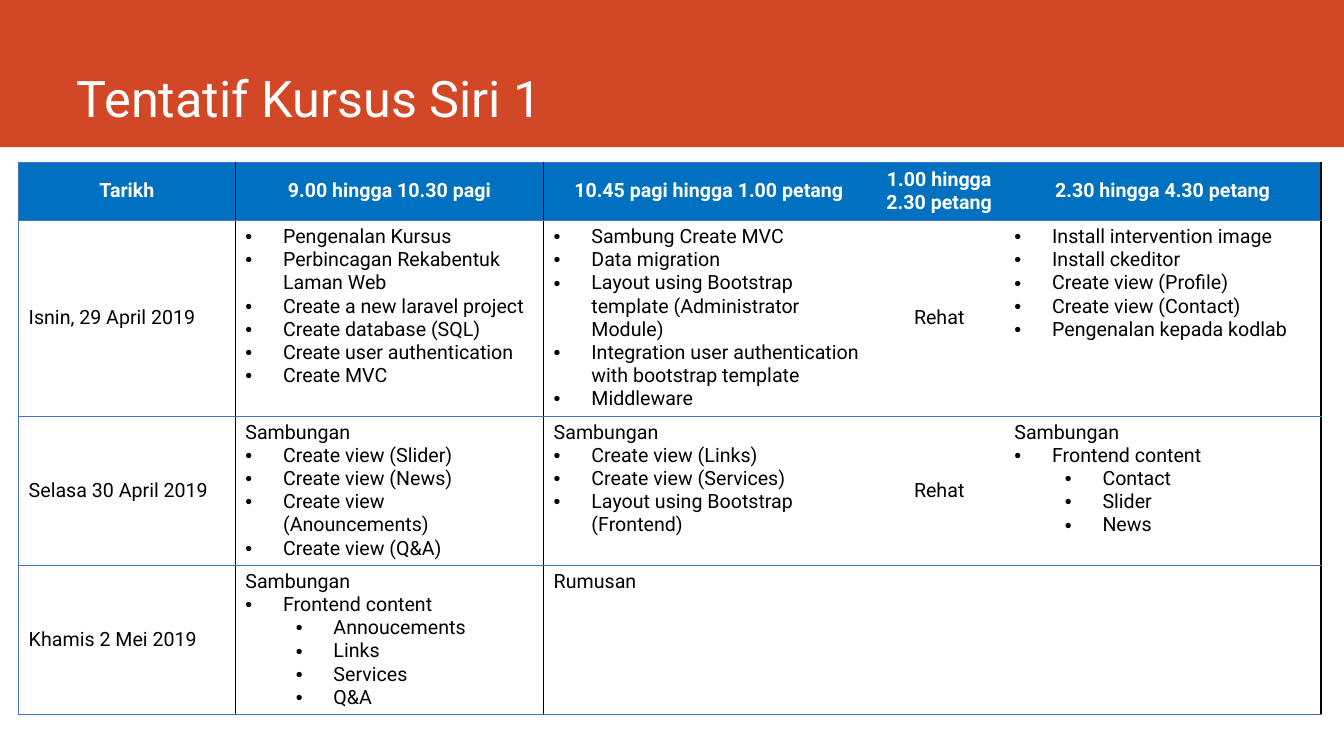
from dataclasses import dataclass

from lxml.etree import SubElement
from pptx import Presentation
from pptx.dml.color import RGBColor
from pptx.enum.shapes import MSO_SHAPE
from pptx.enum.text import MSO_ANCHOR, PP_ALIGN
from pptx.oxml import parse_xml
from pptx.oxml.ns import nsdecls, qn
from pptx.util import Cm, Pt


@dataclass(frozen=True)
class Theme:
    """Colours, font and type sizes."""
    font: str = "Roboto"
    band: str = "D24726"
    head: str = "0070C0"
    rule: str = "4472C4"
    ink: str = "000000"
    paper: str = "FFFFFF"
    title: int = 36
    body: int = 14


def write(par, text, theme, size=None, color=None, bold=False, align=PP_ALIGN.LEFT, depth=0):
    """Put text in a paragraph; depth 1 and 2 are bullet levels."""
    par.alignment = align
    run = par.add_run()
    run.text = text
    font = run.font
    font.name, font.size, font.bold = theme.font, Pt(size or theme.body), bold
    font.color.rgb = RGBColor.from_string(color or theme.ink)
    if depth:
        par.level = depth - 1
        props = par._p.get_or_add_pPr()
        props.set("marL", str(Cm(0.95 + 1.27 * (depth - 1))))
        props.set("indent", str(-Cm(0.95)))
        SubElement(props, qn("a:buFont"), typeface="Arial")
        SubElement(props, qn("a:buChar"), char="•")


def edge(cell, side, color=None, width=0.5):
    """Draw one cell border, or clear it when there is no colour."""
    paint = (f'<a:solidFill><a:srgbClr val="{color}"/></a:solidFill>'
             if color else "<a:noFill/>")
    line = parse_xml(f'<a:ln{side} {nsdecls("a")} w="{Pt(width)}">{paint}</a:ln{side}>')
    cell._tc.get_or_add_tcPr().insert("LRTB".index(side), line)


class Deck:
    """Holds the theme and the current slide."""

    def __init__(self, theme):
        """Start a wide deck with one title slide."""
        self.theme = theme
        self.show = Presentation()
        self.show.slide_width, self.show.slide_height = Cm(33.87), Cm(19.05)
        self.slide = self.show.slides.add_slide(self.show.slide_layouts[5])

    def band(self, height):
        """Lay a plain band along the top, behind the rest."""
        shape = self.slide.shapes.add_shape(
            MSO_SHAPE.RECTANGLE, 0, 0, self.show.slide_width, Cm(height))
        shape.shadow.inherit = False
        shape.fill.solid()
        shape.fill.fore_color.rgb = RGBColor.from_string(self.theme.band)
        shape.line.fill.background()
        self.slide.shapes._spTree.insert(2, shape._element)

    def title(self, text, left, top, width, height):
        """Move and fill the title placeholder."""
        box = self.slide.shapes.title
        box.left, box.top, box.width, box.height = map(Cm, (left, top, width, height))
        box.text_frame.vertical_anchor = MSO_ANCHOR.BOTTOM
        write(box.text_frame.paragraphs[0], text, self.theme,
              size=self.theme.title, color=self.theme.paper)

    def cell(self, cell, items, row, col, end):
        """Fill one cell; leading stars in an item give its bullet level."""
        theme, head = self.theme, row == 0
        if head:
            cell.fill.solid()
            cell.fill.fore_color.rgb = RGBColor.from_string(theme.head)
        else:
            cell.fill.background()
        black = dict(color=theme.ink, width=1)
        blue = dict(color=theme.rule)
        edge(cell, "L", **(blue if col == 0 else black if col < 3 else {}))
        edge(cell, "R", **(black if col < 2 or col >= end else {}))
        edge(cell, "T", **blue)
        edge(cell, "B", **blue)
        middle = head or col in (0, 3)
        cell.vertical_anchor = MSO_ANCHOR.MIDDLE if middle else MSO_ANCHOR.TOP
        frame = cell.text_frame
        for spot, item in enumerate(items):
            par = frame.add_paragraph() if spot else frame.paragraphs[0]
            text = item.lstrip("*")
            write(par, text, theme, bold=head, color=theme.paper if head else theme.ink,
                  align=PP_ALIGN.CENTER if head or col == 3 else PP_ALIGN.LEFT,
                  depth=len(item) - len(text))

    def table(self, rows, left, top, widths, heights):
        """Build the timetable; a short row spans its last item to the edge."""
        last = len(widths) - 1
        grid = self.slide.shapes.add_table(
            len(rows), len(widths), Cm(left), Cm(top),
            Cm(sum(widths)), Cm(sum(heights))).table
        grid.horz_banding = False
        for col, width in zip(grid.columns, widths):
            col.width = Cm(width)
        for row, height in zip(grid.rows, heights):
            row.height = Cm(height)
        for row, cells in enumerate(rows):
            end = len(cells) - 1
            for col in range(last + 1):
                items = cells[col] if col <= end else []
                self.cell(grid.cell(row, col), items, row, col, end)
            if end < last:
                grid.cell(row, end).merge(grid.cell(row, last))


HEADS = ["Tarikh", "9.00 hingga 10.30 pagi", "10.45 pagi hingga 1.00 petang",
         "1.00 hingga 2.30 petang", "2.30 hingga 4.30 petang"]
ROWS = [
    [[head] for head in HEADS],
    [["Isnin, 29 April 2019"],
     ["*Pengenalan Kursus", "*Perbincagan Rekabentuk Laman Web",
      "*Create a new laravel project", "*Create database (SQL)",
      "*Create user authentication", "*Create MVC"],
     ["*Sambung Create MVC", "*Data migration",
      "*Layout using Bootstrap template (Administrator Module)",
      "*Integration user authentication with bootstrap template", "*Middleware"],
     ["Rehat"],
     ["*Install intervention image", "*Install ckeditor", "*Create view (Profile)",
      "*Create view (Contact)", "*Pengenalan kepada kodlab"]],
    [["Selasa 30 April 2019"],
     ["Sambungan", "*Create view (Slider)", "*Create view (News)",
      "*Create view (Anouncements)", "*Create view (Q&A)"],
     ["Sambungan", "*Create view (Links)", "*Create view (Services)",
      "*Layout using Bootstrap (Frontend)"],
     ["Rehat"],
     ["Sambungan", "*Frontend content", "**Contact", "**Slider", "**News"]],
    [["Khamis 2 Mei 2019"],
     ["Sambungan", "*Frontend content", "**Annoucements", "**Links",
      "**Services", "**Q&A"],
     ["Rumusan"]],
]

deck = Deck(Theme())
deck.band(3.71)
deck.title("Tentatif Kursus Siri 1", 1.68, 0, 29.87, 3.35)
deck.table(ROWS, 0.47, 4.09, [5.46, 7.77, 8.33, 3.28, 7.98], [1.46, 4.93, 3.75, 3.75])
deck.show.save("out.pptx")
